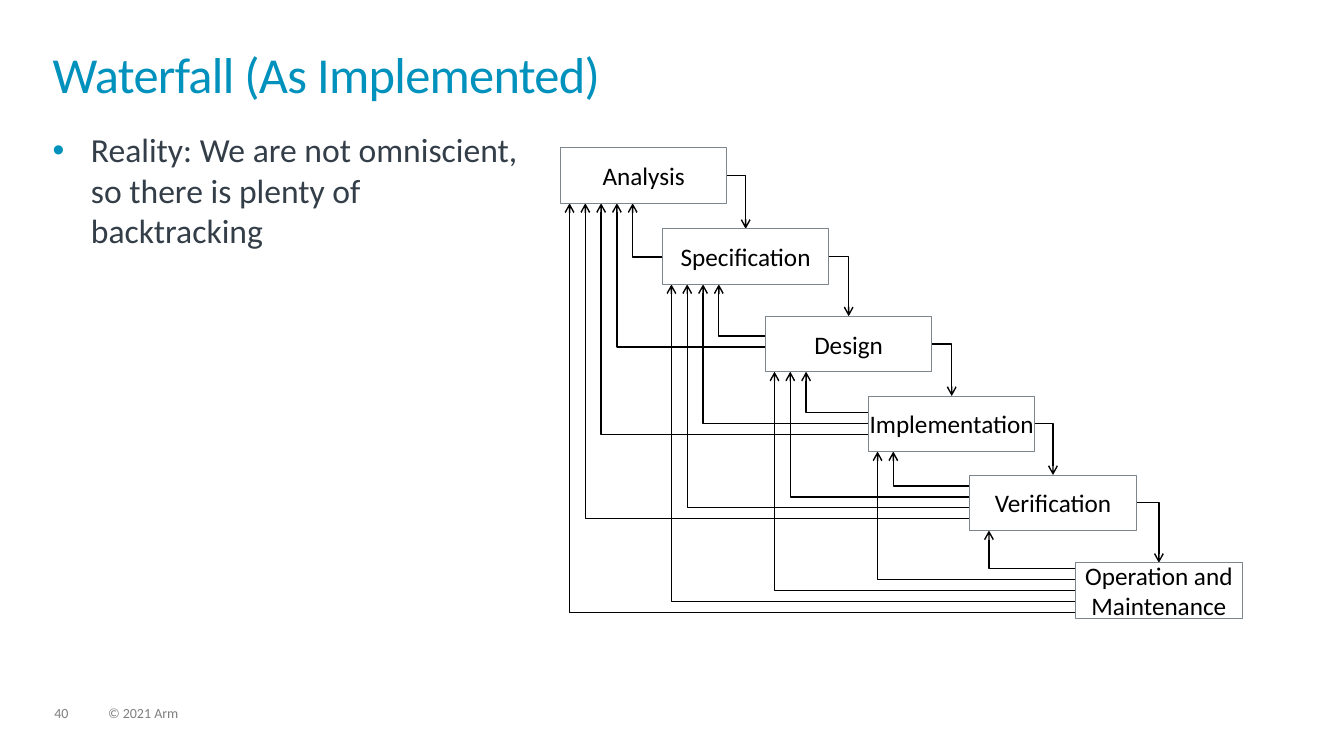
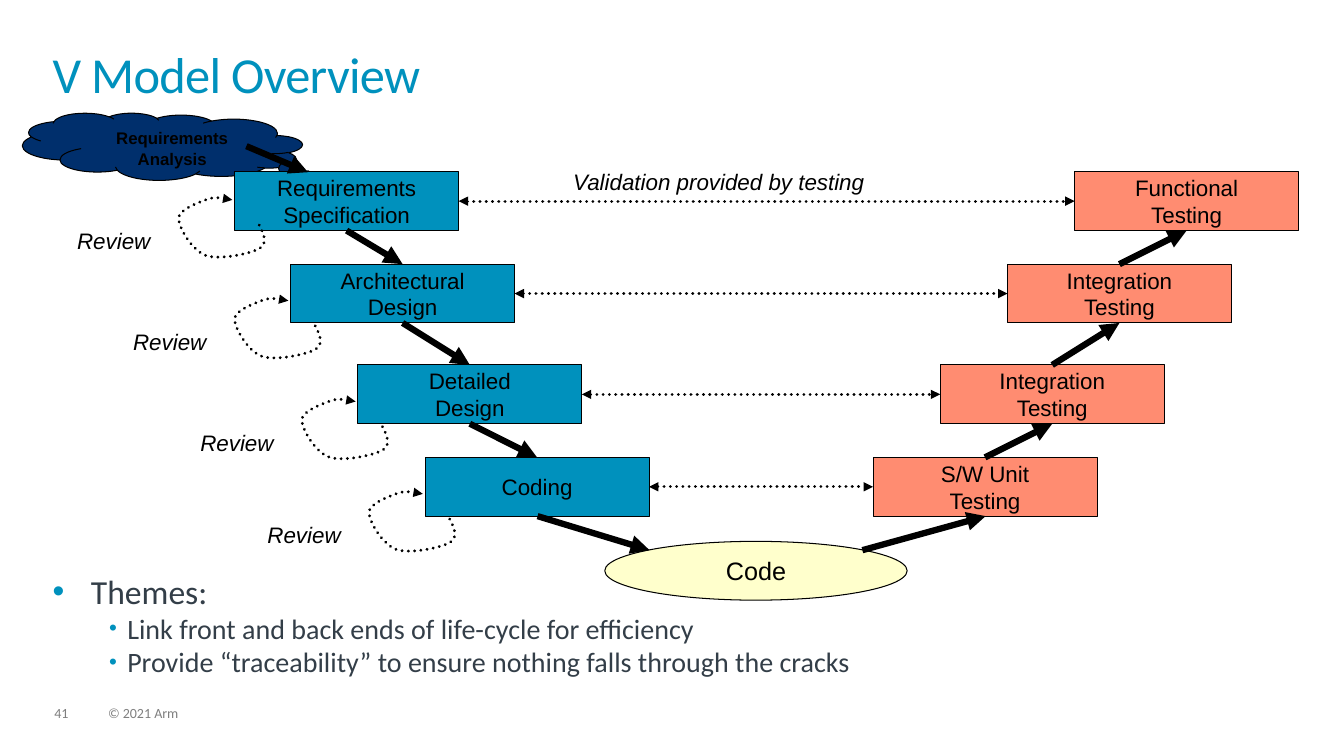
"""Two slides on software life cycles: the waterfall as practised and the V model."""
from itertools import cycle, pairwise

from lxml.etree import SubElement
from pptx import Presentation
from pptx.dml.color import RGBColor
from pptx.enum.dml import MSO_LINE as Dash
from pptx.enum.shapes import MSO_CONNECTOR as Link, MSO_SHAPE as Kind
from pptx.enum.text import MSO_ANCHOR as Anchor, MSO_AUTO_SIZE as Fit, PP_ALIGN as Align
from pptx.oxml.ns import qn
from pptx.util import Inches, Pt

deck = Presentation()
deck.slide_width, deck.slide_height = Inches(13.33), Inches(7.5)
COLUMN, ROW = deck.slide_width / 120, deck.slide_height / 90
paint = RGBColor.from_string
BLUE, NAVY, CORAL, CREAM = "0091BD", "002F6C", "FF8C71", "FFFFCC"
BLACK, WHITE, SLATE, GRAY, EDGE = "000000", "FFFFFF", "333E48", "7F7F7F", "7D868C"
BULLETS = [(0.38, -0.38, 100), (0.74, -0.18, 80)]


def write(page, area, text, kind=None, holder=None, size=16, color=BLACK, font="Arial",
          bold=False, italic=False, align=Align.LEFT, anchor=Anchor.TOP, inset=(0.1, 0.05),
          fill=None, edge=BLACK, wrap=True, leading=1.0, tracking=0, levels=None):
    place = [round(cells * unit) for cells, unit in zip(area, cycle((COLUMN, ROW)))]
    if holder is not None:
        box = holder
        box.left, box.top, box.width, box.height = place
    elif kind is not None:
        box = page.shapes.add_shape(kind, *place)
        box.shadow.inherit = False
    else:
        box = page.shapes.add_textbox(*place)
    if fill:
        box.fill.solid()
        box.fill.fore_color.rgb = paint(fill)
        box.line.color.rgb = paint(edge)
        box.line.width = Pt(0.75)
    frame = box.text_frame
    frame.auto_size, frame.word_wrap, frame.vertical_anchor = Fit.NONE, wrap, anchor
    frame.margin_left = frame.margin_right = Inches(inset[0])
    frame.margin_top = frame.margin_bottom = Inches(inset[1])
    for index, line in enumerate(text.split("\n")):
        para = frame.add_paragraph() if index else frame.paragraphs[0]
        level = levels[index] if levels else 0
        para.alignment, para.line_spacing, para.level = align, leading, level
        para.space_before = para.space_after = Pt(0)
        if levels:
            margin, indent, scale = BULLETS[level]
            props = para._p.get_or_add_pPr()
            props.set("marL", str(Inches(margin)))
            props.set("indent", str(Inches(indent)))
            SubElement(SubElement(props, qn("a:buClr")), qn("a:srgbClr"), val=BLUE)
            SubElement(props, qn("a:buSzPct"), val=str(scale * 1000))
            SubElement(props, qn("a:buFont"), typeface="Arial")
            SubElement(props, qn("a:buChar"), char="•")
        for part, words in enumerate(line.split("\v")):
            if part:
                para.add_line_break()
            span = para.add_run()
            span.text = words
            span.font.name, span.font.size = font, Pt(size - 4 * level)
            span.font.bold, span.font.italic = bold, italic
            span.font.color.rgb = paint(color)
            if tracking:
                span._r.get_or_add_rPr().set("spc", str(tracking))
    return box


def draw(page, points, width, tail="triangle", head=None, dotted=False, bent=False):
    spots = [(round(x * COLUMN), round(y * ROW)) for x, y in points]
    if len(spots) > 2:
        builder = page.shapes.build_freeform(*spots[0])
        builder.add_line_segments(spots[1:], close=False)
        line = builder.convert_to_shape()
        line.fill.background()
        outline = next(line._element.iter(qn("a:path")))
        segments = outline.findall(qn("a:lnTo"))
        for first in range(0, len(segments), 3):
            curve = SubElement(outline, qn("a:cubicBezTo"))
            for segment in segments[first:first + 3]:
                curve.append(segment[0])
                outline.remove(segment)
    elif bent:
        start, end = sorted(spots)
        line = page.shapes.add_connector(Link.ELBOW, *start, *end)
        line._element.spPr.find(qn("a:prstGeom")).set("prst", "bentConnector2")
        if start != spots[0]:
            line._element.spPr.find(qn("a:xfrm")).set("rot", "10800000")
    else:
        line = page.shapes.add_connector(Link.STRAIGHT, *spots[0], *spots[1])
    line.line.color.rgb = paint(BLACK)
    line.line.width = Pt(width)
    properties = line._element.spPr
    stroke = properties.find(qn("a:ln"))
    if dotted:
        line.line.dash_style = Dash.ROUND_DOT
        stroke.find(qn("a:prstDash")).set("val", "sysDot")
        stroke.set("cap", "rnd")
    for tag, arrow in (("a:headEnd", head), ("a:tailEnd", tail)):
        if arrow:
            SubElement(stroke, qn(tag), type=arrow)
    SubElement(properties, qn("a:effectLst"))


contents = [
    ("Waterfall (As Implemented)", (4.7, 15.4, 43.4, 65), (0,),
     "Reality: We are not omniscient, so there is plenty of backtracking"),
    ("V Model Overview", (4.7, 67.95, 110.5, 12.4), (0, 1, 1),
     "Themes:\nLink front and back ends of life-cycle for efficiency\n"
     "Provide “traceability” to ensure nothing falls through the cracks"),
]
layout = deck.slide_layouts[1]
footer = {"size": 10, "color": GRAY, "font": "Calibri", "inset": (0, 0), "leading": 0.9}
for number, (title, body_area, levels, body) in enumerate(contents, 40):
    page = deck.slides.add_slide(layout)
    write(page, (4.7, 6.2, 110.5, 8.6), title, holder=page.shapes.title, size=36, color=BLUE,
          font="Calibri", inset=(0, 0), leading=0.85, tracking=-50)
    write(page, body_area, body, holder=page.placeholders[1], size=24, color=SLATE,
          font="Calibri", inset=(0, 0), levels=levels)
    write(page, (4.85, 84.15, 3, 1.8), str(number), **footer)
waterfall, v_model = deck.slides
rights = write(waterfall, (9.65, 84.15, 45.6, 1.8), "© 2021 Arm", **footer)
layout.shapes._spTree.append(rights._element)

STAGE_WIDTH, STAGE_HEIGHT = 14.85, 6.6
stages = [
    ("Analysis", 50.05, 17.6, 0.8, 0),
    ("Specification", 59.15, 27.25, 0.8, 3.35),
    ("Design", 68.35, 37.65, 0.8, 2.35),
    ("Implementation", 77.55, 47.15, 0.8, 1.95),
    ("Verification", 86.6, 56.55, 1.7, 1.3),
    ("Operation and Maintenance", 96.05, 67, 0.8, 0.7),
]
last = len(stages) - 1
for (_, left, top, *_), (_, next_left, next_top, *_) in pairwise(stages):
    draw(waterfall, [(left + STAGE_WIDTH, top + STAGE_HEIGHT / 2),
                     (next_left + STAGE_WIDTH / 2, next_top)], 1, tail="arrow", bent=True)
for source, (_, left, top, _, drop) in enumerate(stages):
    for target, (_, target_left, target_top, inset, _) in enumerate(stages[:source]):
        leave = top + drop + 1.3 * (source - target - 1)
        reach = target_left + inset + 1.41 * (last - source)
        draw(waterfall, [(left, leave), (reach, target_top + STAGE_HEIGHT)], 1,
             tail="arrow", bent=True)
for name, left, top, *_ in stages:
    write(waterfall, (left, top, STAGE_WIDTH, STAGE_HEIGHT), name, kind=Kind.RECTANGLE, size=18,
          font="Calibri", align=Align.CENTER, anchor=Anchor.MIDDLE, inset=(0, 0),
          fill=WHITE, edge=EDGE)

BOX_WIDTH, BOX_HEIGHT = 20, 7
cloud = write(v_model, (2, 13.45, 25, 8), "Requirements Analysis", kind=Kind.CLOUD_CALLOUT,
              size=12, bold=True, align=Align.CENTER, fill=NAVY)
cloud.adjustments[0], cloud.adjustments[1] = -0.52, 0.39
cloud._element.spPr.find(qn("a:xfrm")).set("flipH", "1")

tiers = [
    (20.45, 19.4, 20.95, "Requirements\vSpecification", 95.95, "Functional\nTesting"),
    (31.45, 31.4, 25.95, "Architectural\nDesign", 89.95, "Integration\nTesting"),
    (43.45, 43.4, 31.95, "Detailed\nDesign", 83.95, "Integration\nTesting"),
    (54.45, 54.4, 37.95, "Coding", 77.95, "S/W Unit\nTesting"),
]
loop = [
    (2.2, 7.4),
    (2.6, 8.4), (3, 9.6), (2.2, 10.2),
    (1.4, 10.8), (-1.4, 11.6), (-2.6, 11),
    (-3.8, 10.4), (-5, 7.7), (-5, 6.6),
    (-5, 5.6), (-3.4, 4.8), (-2.6, 4.4),
    (-1.8, 4), (-1, 4.2), (-0.2, 4.4),
]
for top, review_top, left, design, right, test in tiers:
    for side, text, fill in ((left, design, BLUE), (right, test, CORAL)):
        write(v_model, (side, top, BOX_WIDTH, BOX_HEIGHT), text, kind=Kind.RECTANGLE,
              align=Align.CENTER, anchor=Anchor.MIDDLE, fill=fill, wrap=False)
    middle = top + BOX_HEIGHT / 2
    draw(v_model, [(left + BOX_WIDTH, middle), (right, middle)], 2.25, head="triangle",
         dotted=True)
    draw(v_model, [(left + x, review_top + y) for x, y in loop], 2.25, dotted=True)
    write(v_model, (left - 14.95, review_top + 7.05, 8.4, 4.4), "Review", italic=True, wrap=False)
write(v_model, (50.3, 19.4, 28.1, 4.4), "Validation provided by testing", italic=True, wrap=False)
write(v_model, (54, 64.45, 27, BOX_HEIGHT), "Code", kind=Kind.OVAL, size=18,
      align=Align.CENTER, anchor=Anchor.MIDDLE, fill=CREAM, wrap=False)

flow = [[(22, 17.4), (27.5, 20.5)], [(48, 61.45), (58, 65.5)], [(77, 65.5), (88, 61.45)]]
for (top, _, left, _, right, _), (next_top, _, next_left, _, next_right, _) in pairwise(tiers):
    half, bottom = BOX_WIDTH / 2, top + BOX_HEIGHT
    flow.append([(left + half, bottom), (next_left + half, next_top)])
    flow.append([(next_right + half, next_top), (right + half, bottom)])
for arrow in flow:
    draw(v_model, arrow, 4.5)

deck.save("out.pptx")
